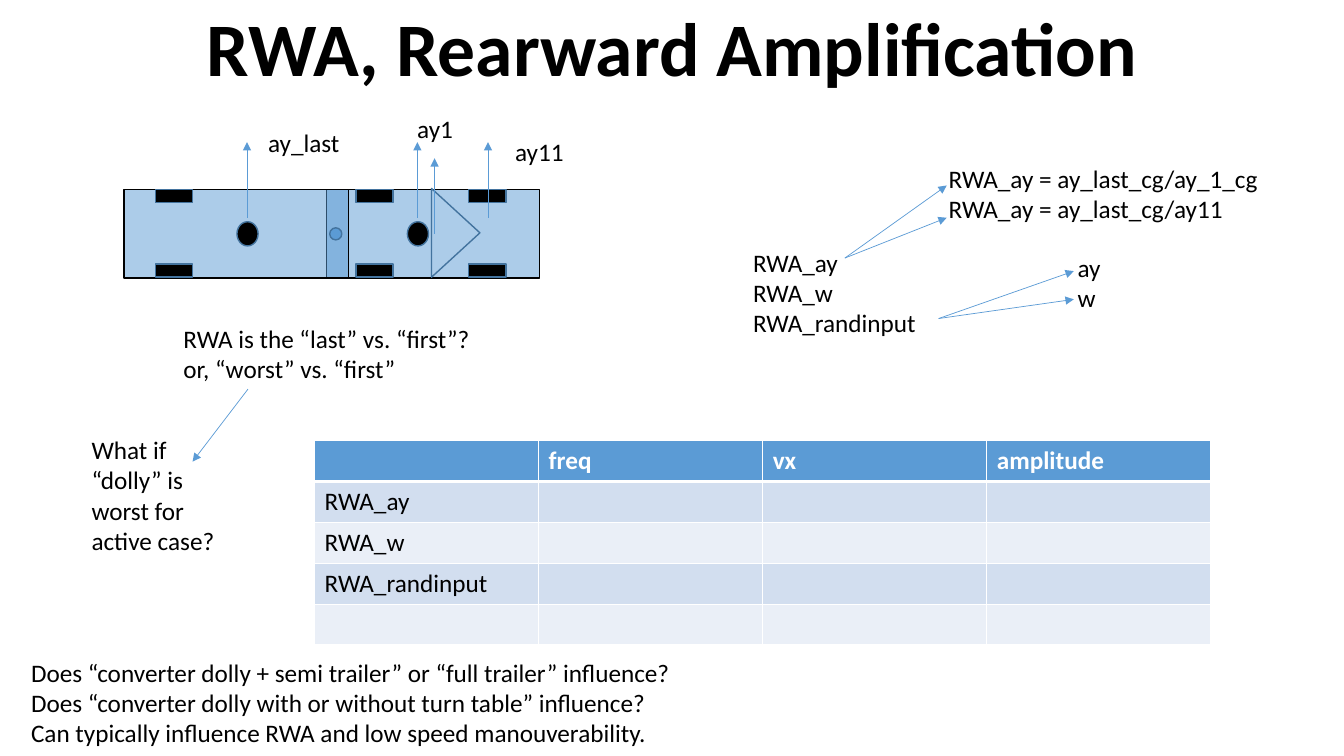
from lxml import etree
from pptx import Presentation
from pptx.dml.color import RGBColor
from pptx.enum.shapes import MSO_CONNECTOR, MSO_SHAPE
from pptx.enum.text import MSO_ANCHOR, MSO_AUTO_SIZE, PP_ALIGN
from pptx.oxml.ns import qn
from pptx.util import Inches, Pt

RECT = MSO_SHAPE.RECTANGLE
OVAL = MSO_SHAPE.OVAL
WEDGE = MSO_SHAPE.ISOSCELES_TRIANGLE
LINE = MSO_CONNECTOR.STRAIGHT
LEFT, CENTER = PP_ALIGN.LEFT, PP_ALIGN.CENTER
TOP, MIDDLE = MSO_ANCHOR.TOP, MSO_ANCHOR.MIDDLE
FIT, FIXED = MSO_AUTO_SIZE.SHAPE_TO_FIT_TEXT, MSO_AUTO_SIZE.NONE

FONT = "Calibri"
BLACK, WHITE = "000000", "FFFFFF"
BLUE, EDGE = "5B9BD5", "43739E"
BANDS = ("D2DEEF", "EAEFF7")


def color(code):
    return RGBColor.from_string(code)


def write(frame, text, size=18, ink=BLACK, bold=False, align=LEFT, space=None):
    """Fill a text frame, one paragraph for each line of text."""
    for i, line in enumerate(text.split("\n")):
        para = frame.paragraphs[0] if i == 0 else frame.add_paragraph()
        para.alignment = align
        para.line_spacing = space
        run = para.add_run()
        run.text = line
        run.font.name = FONT
        run.font.size = Pt(size)
        run.font.bold = bold
        run.font.color.rgb = color(ink)


def add_text(slide, box, text, wrap=True, fit=FIT, anchor=TOP, **style):
    frame = slide.shapes.add_textbox(*map(Inches, box)).text_frame
    frame.word_wrap = wrap
    frame.auto_size = fit
    frame.vertical_anchor = anchor
    write(frame, text, **style)


def add_shape(slide, kind, box, fill=None, edge=EDGE, alpha=None, turn=0):
    shape = slide.shapes.add_shape(kind, *map(Inches, box))
    shape.shadow.inherit = False
    shape.rotation = turn
    shape.line.color.rgb = color(edge)
    shape.line.width = Pt(1)
    if fill is None:
        shape.fill.background()
        return
    shape.fill.solid()
    shape.fill.fore_color.rgb = color(fill)
    if alpha is not None:
        tone = shape.fill._xPr.find(qn("a:solidFill"))[0]
        etree.SubElement(tone, qn("a:alpha"), val=str(alpha * 1000))


def add_arrow(slide, start, end):
    arrow = slide.shapes.add_connector(LINE, *map(Inches, start + end))
    arrow.line.color.rgb = color(BLUE)
    arrow.line.width = Pt(0.5)
    etree.SubElement(arrow.line._get_or_add_ln(), qn("a:tailEnd"), type="triangle")
    etree.SubElement(arrow._element.spPr, qn("a:effectLst"))


def set_edges(cell, head):
    props = cell._tc.get_or_add_tcPr()
    for side in ("lnL", "lnR", "lnT", "lnB"):
        width = Pt(3 if head and side == "lnB" else 1)
        edge = etree.SubElement(props, qn(f"a:{side}"), w=str(width))
        fill = etree.SubElement(edge, qn("a:solidFill"))
        etree.SubElement(fill, qn("a:srgbClr"), val=WHITE)


def add_grid(slide, box, rows):
    frame = slide.shapes.add_table(len(rows), len(rows[0]), *map(Inches, box))
    for r, row in enumerate(rows):
        head = r == 0
        for c, text in enumerate(row):
            cell = frame.table.cell(r, c)
            set_edges(cell, head)
            cell.fill.solid()
            cell.fill.fore_color.rgb = color(BLUE if head else BANDS[(r - 1) % 2])
            write(cell.text_frame, text, ink=WHITE if head else BLACK, bold=head)


def add_unit(slide, left, width, axles):
    """Draw one vehicle unit with a wheel at each end of its axles."""
    add_shape(slide, RECT, (left, 1.88, width, 0.88), BLUE, BLACK, alpha=50)
    for x in axles:
        for y in (1.88, 2.62):
            add_shape(slide, RECT, (x, y, 0.37, 0.13), BLACK)


def main():
    deck = Presentation()
    deck.slide_width, deck.slide_height = Inches(13.33), Inches(7.5)
    slide = deck.slides.add_slide(deck.slide_layouts[6])

    add_text(slide, (0, 0, 13.33, 1.03), "RWA, Rearward Amplification", fit=FIXED,
             anchor=MIDDLE, size=54, bold=True, align=CENTER, space=0.9)

    # Truck, trailer and coupling
    add_unit(slide, 3.24, 2.11, (4.65, 3.53))
    add_shape(slide, WEDGE, (4.08, 2.07, 0.88, 0.48), turn=90)
    add_unit(slide, 1.23, 2.23, (1.54,))
    add_shape(slide, OVAL, (3.27, 2.26, 0.12, 0.12), BLUE)

    # Centres of gravity and accelerations
    for x in (2.35, 4.04):
        add_shape(slide, OVAL, (x, 2.2, 0.21, 0.24), BLACK)
    for x, low in ((2.45, 2.16), (4.14, 2.16), (4.84, 2.16), (4.31, 2.32)):
        add_arrow(slide, (x, low), (x, low - 0.75))
    add_text(slide, (2.56, 1.21, 0.92, 0.4), "ay_last", wrap=False)
    add_text(slide, (4.04, 1.08, 0.56, 0.4), "ay1", wrap=False)
    add_text(slide, (5.01, 1.3, 0.69, 0.4), "ay11", wrap=False)

    # Measures and their variants
    add_text(slide, (7.37, 2.4, 3.89, 1.01), "RWA_ay\nRWA_w\nRWA_randinput")
    add_text(slide, (9.31, 1.57, 4.02, 0.71),
             "RWA_ay = ay_last_cg/ay_1_cg\nRWA_ay = ay_last_cg/ay11")
    add_text(slide, (10.59, 2.45, 0.43, 0.71), "ay\nw", wrap=False)
    for y in (1.84, 2.16):
        add_arrow(slide, (8.38, 2.56), (9.39, y))
    for y in (2.69, 2.97):
        add_arrow(slide, (9.31, 3.16), (10.65, y))

    # Questions
    add_text(slide, (1.72, 3.16, 3.38, 0.71),
             "RWA is the “last” vs. “first”?\nor, “worst” vs. “first”")
    add_arrow(slide, (2.46, 3.86), (1.91, 4.58))
    add_text(slide, (0.81, 4.26, 1.54, 1.31),
             "What if\n“dolly” is worst for active case?")
    add_text(slide, (0.21, 6.47, 6.61, 1.01),
             "Does “converter dolly + semi trailer” or “full trailer” influence?\n"
             "Does “converter dolly with or without turn table” influence?\n"
             "Can typically influence RWA and low speed manouverability.", wrap=False)

    # Test table
    names = ("RWA_ay", "RWA_w", "RWA_randinput", "")
    rows = [("", "freq", "vx", "amplitude")] + [(name, "", "", "") for name in names]
    add_grid(slide, (3.12, 4.37, 8.89, 2.03), rows)

    deck.save("out.pptx")


if __name__ == "__main__":
    main()
